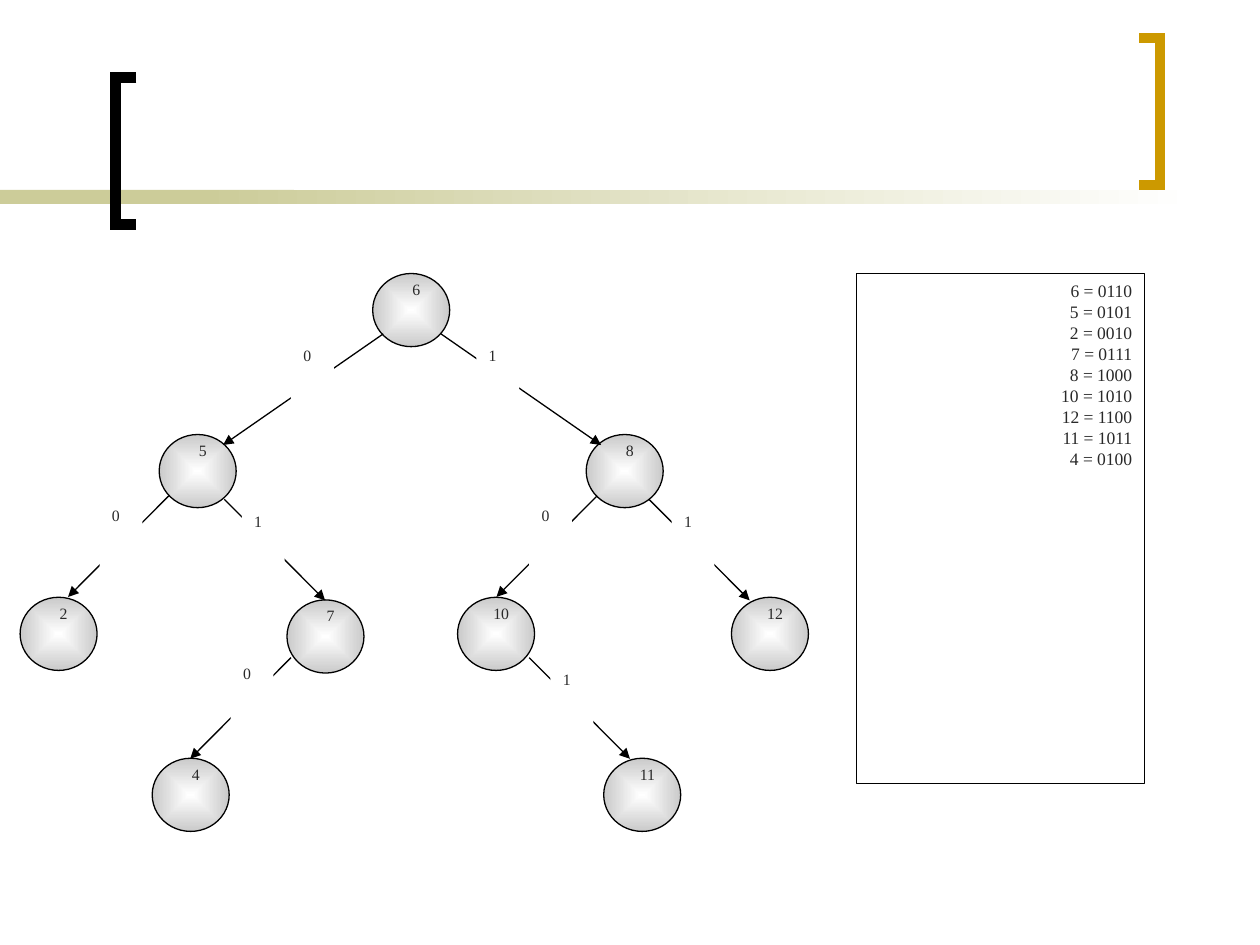
from lxml.etree import SubElement
from pptx import Presentation
from pptx.dml.color import RGBColor
from pptx.enum.shapes import MSO_CONNECTOR as Connector, MSO_SHAPE as Preset
from pptx.enum.text import MSO_ANCHOR as Anchor, PP_ALIGN as Align
from pptx.oxml.ns import qn
from pptx.util import Pt

COLORS = {
    "black": "000000",
    "white": "FFFFFF",
    "gold": "CC9900",
    "khaki": "CCCC99",
    "gray": "CACACA",
    "ink": "292929",
}

NODE_WIDTH, NODE_HEIGHT = 44, 41.8
LABEL_WIDTH, TEXT_HEIGHT = 24.5, 46
NODE_TEXT_WIDTH, NODE_TEXT_SHIFT = 73.4, 2.9

NODES = [
    ("6", 201.5, 0),
    ("5", 79.5, 92),
    ("8", 323.5, 92),
    ("2", 0, 185),
    ("7", 152.5, 186.5),
    ("10", 250, 185),
    ("12", 406.5, 185),
    ("4", 75.5, 277),
    ("11", 333.5, 277),
]
LONG_STEP, SHORT_STEP = (91.5, 63.5), (57.6, 57.8)
EDGES = [
    ("0", (207.5, 34.5), LONG_STEP, (154.8, 38)),
    ("1", (240.5, 34.5), LONG_STEP, (260.7, 38)),
    ("0", (85, 127), SHORT_STEP, (45.4, 129)),
    ("1", (116.7, 129), SHORT_STEP, (126.7, 132.5)),
    ("0", (329.8, 127), SHORT_STEP, (290.9, 129)),
    ("1", (359.3, 129), SHORT_STEP, (372.3, 132.5)),
    ("0", (154.8, 219.5), SHORT_STEP, (120.3, 219.5)),
    ("1", (290.9, 219.5), SHORT_STEP, (303.1, 223)),
]
KEYS = [6, 5, 2, 7, 8, 10, 12, 11, 4]


def color(name):
    return RGBColor.from_string(COLORS[name])


def write_text(shape, text, size=9, align=Align.LEFT, ink="ink", font="Times New Roman"):
    frame = shape.text_frame
    frame.word_wrap = True
    frame.vertical_anchor = Anchor.TOP
    frame.text = text
    for paragraph in frame.paragraphs:
        paragraph.alignment = align
        paragraph.font.size = Pt(size)
        paragraph.font.name = font
        paragraph.font.color.rgb = color(ink)


def set_line(shape, name=None, width=0.75):
    if name:
        shape.line.color.rgb = color(name)
        shape.line.width = Pt(width)
    else:
        shape.line.fill.background()


def add_preset(slide, preset, box, fill=None, line=None):
    shape = slide.shapes.add_shape(preset, *map(Pt, box))
    shape.shadow.inherit = False
    if fill:
        shape.fill.solid()
        shape.fill.fore_color.rgb = color(fill)
    else:
        shape.fill.background()
    set_line(shape, line)
    return shape


def set_gradient(shape, first, last, from_center=False):
    shape.fill.gradient()
    shape.fill.gradient_angle = 0
    for stop, name, position in zip(shape.fill.gradient_stops, (first, last), (0, 1)):
        stop.color.rgb = color(name)
        stop.position = position
    if from_center:
        gradient = shape.element.spPr.find(qn("a:gradFill"))
        gradient.remove(gradient.find(qn("a:lin")))
        shading = SubElement(gradient, qn("a:path"), {"path": "rect"})
        center = {side: "50000" for side in "ltrb"}
        SubElement(shading, qn("a:fillToRect"), center)


def add_bracket(slide, box, name, opens_right):
    left, top, width, height = box
    spine, tip = (left, left + width) if opens_right else (left + width, left)
    builder = slide.shapes.build_freeform(Pt(tip), Pt(top))
    corners = [(spine, top), (spine, top + height), (tip, top + height)]
    builder.add_line_segments([(Pt(x), Pt(y)) for x, y in corners], close=False)
    shape = builder.convert_to_shape()
    shape.shadow.inherit = False
    shape.fill.background()
    set_line(shape, name, 6)
    SubElement(shape.line._get_or_add_ln(), qn("a:miter"), {"lim": "800000"})


def add_header(slide, box):
    left, top, width, height = box
    bar_top, bar_height, solid_width = top + 87, 8, 168
    add_preset(slide, Preset.RECTANGLE, (left, bar_top, solid_width, bar_height), "khaki")
    fade_left = left + 114
    fade = add_preset(slide, Preset.RECTANGLE,
                      (fade_left, bar_top, left + width - fade_left, bar_height))
    set_gradient(fade, "khaki", "white")
    bracket_width, bracket_height = 12, 84
    add_bracket(slide, (left + 66, top + height - bracket_height,
                        bracket_width, bracket_height), "black", True)
    add_bracket(slide, (left + 651, top, bracket_width, bracket_height), "gold", False)


def add_node(slide, text, left, top):
    circle = add_preset(slide, Preset.OVAL, (left, top, NODE_WIDTH, NODE_HEIGHT), line="black")
    set_gradient(circle, "white", "gray", from_center=True)
    text_left = left + (NODE_WIDTH - NODE_TEXT_WIDTH) / 2 + NODE_TEXT_SHIFT
    caption = slide.shapes.add_textbox(Pt(text_left), Pt(top), Pt(NODE_TEXT_WIDTH), Pt(TEXT_HEIGHT))
    write_text(caption, text, align=Align.CENTER)


def add_arrow(slide, start, end):
    arrow = slide.shapes.add_connector(Connector.STRAIGHT, *map(Pt, start + end))
    set_line(arrow, "black")
    SubElement(arrow.line._get_or_add_ln(), qn("a:tailEnd"), {"type": "triangle"})
    SubElement(arrow.element.spPr, qn("a:effectLst"))


def add_tree(slide, box):
    left, top = box[:2]
    for text, x, y in NODES:
        add_node(slide, text, left + x, top + y)
    for bit, (x, y), (across, down), _ in EDGES:
        direction = -1 if bit == "0" else 1
        start = (left + x, top + y)
        add_arrow(slide, start, (start[0] + direction * across, start[1] + down))
    for bit, _, _, (x, y) in EDGES:
        label = add_preset(slide, Preset.RECTANGLE,
                           (left + x, top + y, LABEL_WIDTH, TEXT_HEIGHT), "white")
        write_text(label, bit)


def add_key_list(slide, box):
    panel = add_preset(slide, Preset.RECTANGLE, box, line="black")
    write_text(panel, "\n".join(f"{key} = {key:04b}" for key in KEYS), size=10, align=Align.RIGHT)


def main():
    presentation = Presentation()
    presentation.slide_width, presentation.slide_height = Pt(720), Pt(540)
    slide = presentation.slides.add_slide(presentation.slide_layouts[6])
    add_header(slide, (0, 21.6, 684, 106.6))
    add_tree(slide, (11.5, 156.3, 450.5, 319))
    add_key_list(slide, (489.6, 156.3, 164.4, 291.3))
    presentation.save("out.pptx")


if __name__ == "__main__":
    main()
